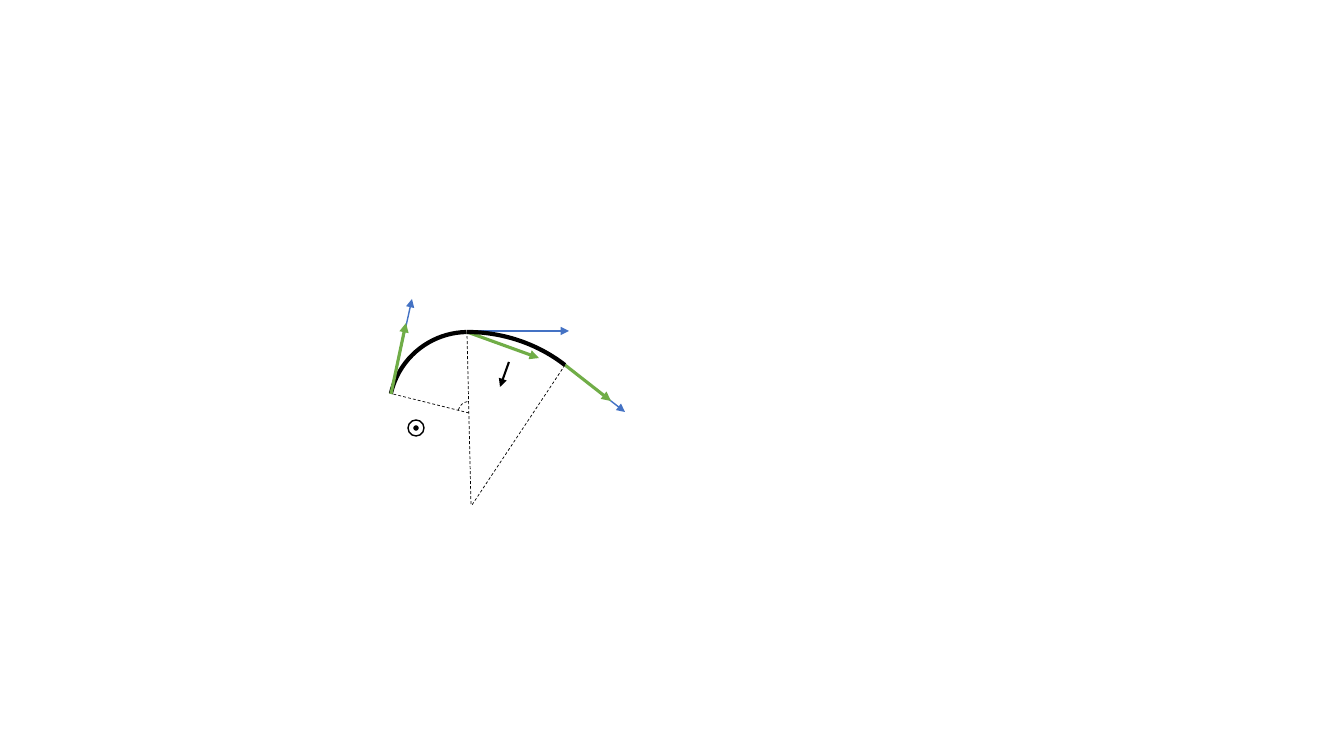
import pptx
import pptx.dml.color
import pptx.enum.dml
import pptx.enum.shapes
import pptx.oxml.ns
import pptx.util
from lxml import etree

PX = 914400 / 100.8
COLORS = {"black": "000000", "white": "FFFFFF", "tangent": "4472C4", "vector": "70AD47"}
SHAPES = pptx.enum.shapes.MSO_SHAPE

CURVE_START = (391, 394)
CURVE_TOP = (467, 332)
CURVE_END = (565, 365)


def emu(px):
    return pptx.util.Emu(round(px * PX))


def rgb(name):
    return pptx.dml.color.RGBColor.from_string(COLORS[name])


def style_line(line, color, width, dashed=False):
    line.color.rgb = rgb(color)
    line.width = pptx.util.Pt(width)
    if dashed:
        line.dash_style = pptx.enum.dml.MSO_LINE.DASH


def add_line(page, start, end, color="black", width=0.5, dashed=False):
    connector = page.shapes.add_connector(
        pptx.enum.shapes.MSO_CONNECTOR.STRAIGHT, *map(emu, (*start, *end)))
    style_line(connector.line, color, width, dashed)
    etree.SubElement(connector._element.spPr, pptx.oxml.ns.qn("a:effectLst"))
    return connector


def add_arrow(page, start, end, color, width):
    connector = add_line(page, start, end, color, width)
    outline = connector.line._get_or_add_ln()
    etree.SubElement(outline, pptx.oxml.ns.qn("a:tailEnd"), type="triangle")


def add_arc(page, box, angles, width, dashed=False):
    """Draw the part of the ellipse in box between two angles in degrees, clockwise."""
    arc = page.shapes.add_shape(SHAPES.ARC, *map(emu, box))
    arc.shadow.inherit = False
    arc.fill.background()
    for index, angle in enumerate(angles):
        arc.adjustments[index] = angle * 0.6
    style_line(arc.line, "black", width, dashed)


def add_circle(page, center, diameter, fill):
    left, top = (value - diameter / 2 for value in center)
    circle = page.shapes.add_shape(
        SHAPES.OVAL, *map(emu, (left, top, diameter, diameter)))
    circle.shadow.inherit = False
    circle.fill.solid()
    circle.fill.fore_color.rgb = rgb(fill)
    style_line(circle.line, "black", 1)


def add_out_of_page_symbol(page, center):
    add_circle(page, center, 16, "white")
    add_circle(page, center, 4, "black")


def main():
    deck = pptx.Presentation()
    deck.slide_width, deck.slide_height = emu(1344), emu(756)
    page = deck.slides.add_slide(deck.slide_layouts[6])

    add_arrow(page, (467, 331), (569, 331), "tangent", 1)
    add_arc(page, (389, 332, 158, 158), (192.65, 268.82), 3)
    add_arrow(page, CURVE_START, (412, 299), "tangent", 1)
    add_out_of_page_symbol(page, (416, 428))
    add_arrow(page, CURVE_END, (625, 412), "tangent", 1)

    for start, end in ((CURVE_START, (406, 323)),
                       (CURVE_TOP, (539, 358)),
                       (CURVE_END, (611, 401))):
        add_arrow(page, start, end, "vector", 2.25)
    add_arrow(page, (509, 362), (500, 387), "black", 1.5)

    add_arc(page, (458, 401, 24, 24), (195.02, 265.17), 0.5, dashed=True)
    for start, end in (((469, 413), (393, 394)),
                       ((471, 504), CURVE_TOP),
                       (CURVE_END, (472, 505))):
        add_line(page, start, end, dashed=True)
    add_arc(page, (314, 332, 306, 285), (269.88, 311.8), 3)

    deck.save("out.pptx")


if __name__ == "__main__":
    main()
